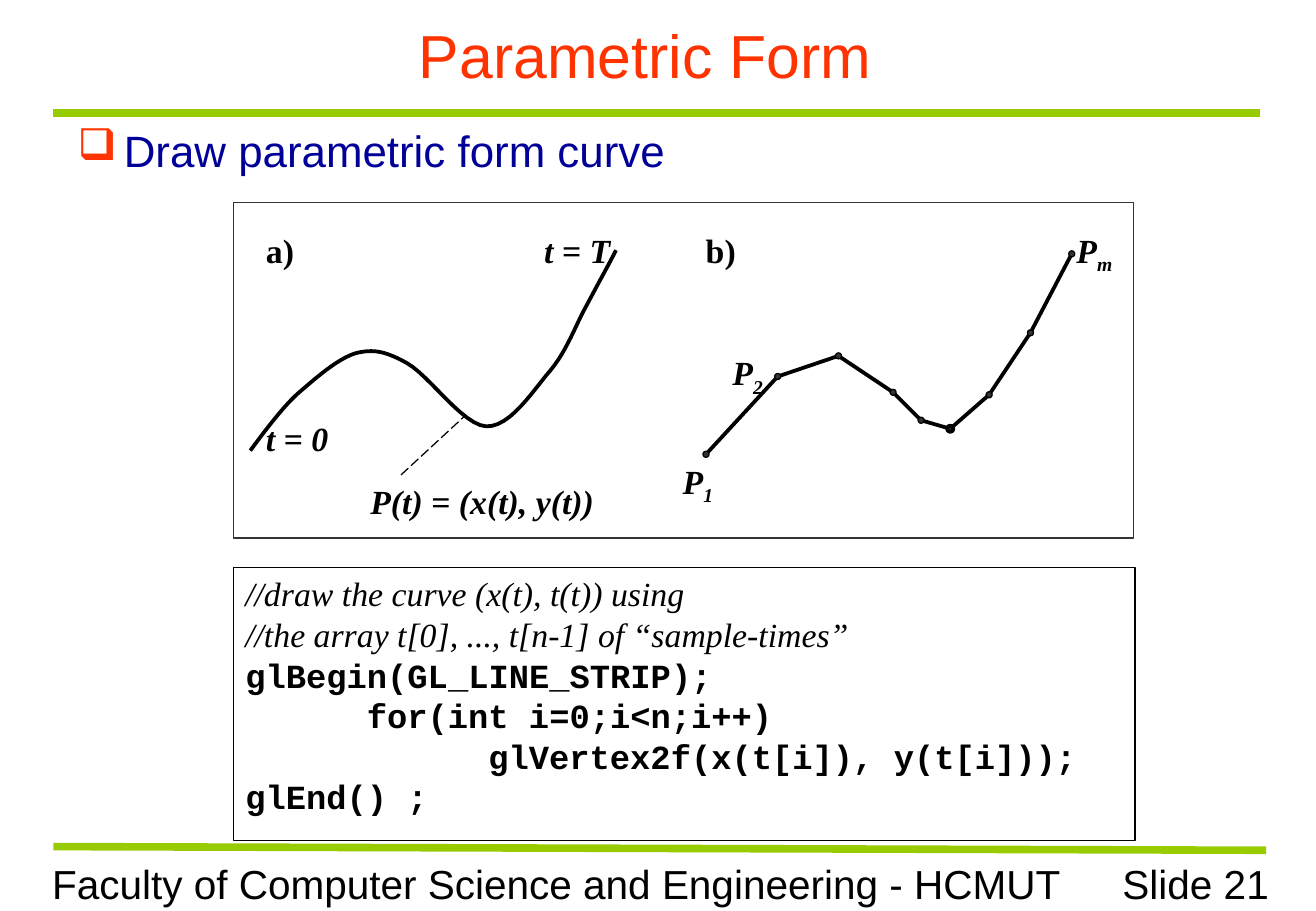
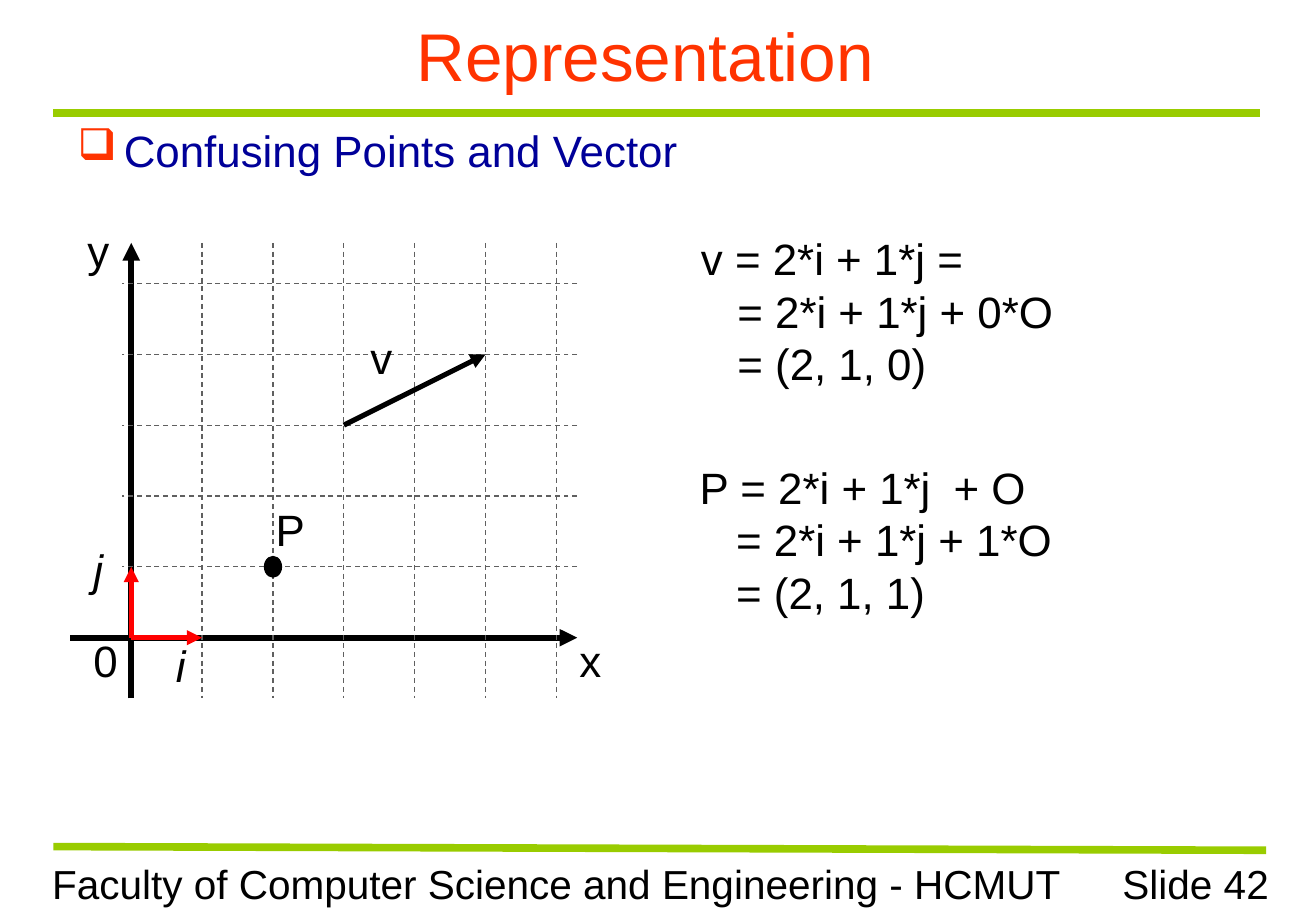
import dataclasses

import lxml.etree
import pptx
import pptx.dml.color
import pptx.enum.dml
import pptx.enum.shapes
import pptx.enum.text
import pptx.oxml.ns
import pptx.util

Inches = pptx.util.Inches
Pt = pptx.util.Pt
qn = pptx.oxml.ns.qn
SHAPE = pptx.enum.shapes.MSO_SHAPE
DASH = pptx.enum.dml.MSO_LINE
ALIGN = pptx.enum.text.PP_ALIGN
ANCHOR = pptx.enum.text.MSO_ANCHOR


@dataclasses.dataclass(frozen=True)
class Style:
    size: float
    color: str = "000000"
    font: str = "Arial"
    bold: bool = False
    italic: bool = False


@dataclasses.dataclass(frozen=True)
class Theme:
    band: str = "99CC00"
    bullet: str = "FF3300"
    ink: str = "000000"
    dot: str = "333333"
    grid: str = "606060"
    unit: str = "FF0000"
    paper: str = "FFFFFF"
    title: Style = Style(36, "FF3300")
    title_large: Style = Style(40, "FF3300")
    topic: Style = Style(26, "000099")
    footer: Style = Style(24)
    math: Style = Style(26)
    math_italic: Style = Style(26, italic=True)
    caption: Style = Style(20, font="Times New Roman", bold=True)
    symbol: Style = Style(20, font="Times New Roman", bold=True, italic=True)
    comment: Style = Style(20, font="Times New Roman", italic=True)
    code: Style = Style(20, font="Courier New", bold=True)


THEME = Theme()


# Drawing helpers
def rgb(value):
    return pptx.dml.color.RGBColor.from_string(value)


def add_span(para, text, style, subscript=False):
    span = para.add_run()
    span.text = text
    font = span.font
    font.name, font.size = style.font, Pt(style.size)
    font.bold, font.italic = style.bold, style.italic
    font.color.rgb = rgb(style.color)
    if subscript:
        font._element.set("baseline", "-25000")


def add_paras(frame, lines, align=ALIGN.LEFT):
    """Fill a text frame; each line is a list of add_span arguments."""
    frame.word_wrap = True
    for index, spans in enumerate(lines):
        para = frame.paragraphs[0] if index == 0 else frame.add_paragraph()
        para.alignment = align
        for span in spans:
            add_span(para, *span)


def add_text(page, box, lines, align=ALIGN.LEFT, anchor=ANCHOR.TOP):
    frame = page.shapes.add_textbox(*map(Inches, box)).text_frame
    frame.vertical_anchor = anchor
    add_paras(frame, lines, align)
    return frame


def set_bullet(para, char, color, indent):
    props = para._p.get_or_add_pPr()
    props.set("marL", str(Inches(indent)))
    props.set("indent", str(Inches(-indent)))
    fill = lxml.etree.SubElement(props, qn("a:buClr"))
    lxml.etree.SubElement(fill, qn("a:srgbClr"), val=color)
    lxml.etree.SubElement(props, qn("a:buChar"), char=char)


def set_tabs(para, *stops):
    tabs = lxml.etree.SubElement(para._p.get_or_add_pPr(), qn("a:tabLst"))
    for stop in stops:
        lxml.etree.SubElement(tabs, qn("a:tab"), pos=str(Inches(stop)), algn="l")


def add_line(page, start, end, color, width, dash=None, arrow=False):
    line = page.shapes.add_connector(
        pptx.enum.shapes.MSO_CONNECTOR.STRAIGHT, *map(Inches, (*start, *end)))
    line.line.color.rgb = rgb(color)
    line.line.width = Pt(width)
    if dash:
        line.line.dash_style = dash
    props = line.element.spPr
    if arrow:
        lxml.etree.SubElement(props.find(qn("a:ln")), qn("a:tailEnd"), type="triangle")
    lxml.etree.SubElement(props, qn("a:effectLst"))


def paint(shape, fill, line, width):
    shape.shadow.inherit = False
    if fill:
        shape.fill.solid()
        shape.fill.fore_color.rgb = rgb(fill)
    else:
        shape.fill.background()
    shape.line.color.rgb = rgb(line)
    shape.line.width = Pt(width)


def add_shape(page, kind, box, fill, line, width=0.75):
    shape = page.shapes.add_shape(kind, *map(Inches, box))
    paint(shape, fill, line, width)
    return shape


def add_dot(page, center, width, height, fill, line_width=0.75):
    x, y = center
    add_shape(page, SHAPE.OVAL, (x - width / 2, y - height / 2, width, height),
              fill, THEME.ink, line_width)


def bezier_points(start, segments, steps=12):
    """Points along a chain of cubic curves."""
    points = [start]
    for b, c, d in segments:
        a = points[-1]
        for step in range(1, steps + 1):
            t = step / steps
            weights = ((1 - t) ** 3, 3 * t * (1 - t) ** 2, 3 * t * t * (1 - t), t ** 3)
            points.append(tuple(
                sum(w * p[axis] for w, p in zip(weights, (a, b, c, d)))
                for axis in (0, 1)))
    return points


# Parts that every slide has
def add_page(deck, title, title_style, topic, number):
    page = deck.slides.add_slide(deck.slide_layouts[6])
    add_text(page, (8.55, 7.02, 1.99, 0.5),
             [[(f"Slide {number}", THEME.footer)]], ALIGN.RIGHT)
    add_line(page, (0.44, 0.93), (10.37, 0.93), THEME.band, 4.5)
    add_line(page, (0.44, 6.97), (10.42, 7), THEME.band, 4.5)
    add_text(page, (0.33, 7.02, 8.52, 0.5),
             [[("Faculty of Computer Science and Engineering - HCMUT", THEME.footer)]])
    add_text(page, (0.33, 0.1, 9.96, 0.7), [[(title, title_style)]],
             ALIGN.CENTER, ANCHOR.MIDDLE)
    heading = add_text(page, (0.54, 0.97, 9.75, 0.53), [[(topic, THEME.topic)]])
    set_bullet(heading.paragraphs[0], "❑", THEME.bullet, 0.38)
    return page


# Smooth curve beside its polyline
def add_curve_figure(page, box):
    left, top = box[:2]

    def at(point):
        return left + point[0], top + point[1]

    add_shape(page, SHAPE.RECTANGLE, box, None, THEME.dot)

    # a) parametric curve
    points = bezier_points((0.14, 2.04), [
        ((0.2, 1.96), (0.38, 1.71), (0.52, 1.58)),
        ((0.67, 1.45), (0.85, 1.29), (1, 1.24)),
        ((1.15, 1.2), (1.25, 1.22), (1.43, 1.32)),
        ((1.61, 1.42), (1.89, 1.83), (2.08, 1.84)),
        ((2.28, 1.85), (2.47, 1.54), (2.61, 1.38)),
        ((2.75, 1.21), (2.82, 1), (2.91, 0.84)),
        ((3, 0.67), (3.1, 0.49), (3.15, 0.39)),
    ])
    outline = [tuple(map(Inches, at(point))) for point in points]
    builder = page.shapes.build_freeform(*outline[0])
    builder.add_line_segments(outline[1:], close=False)
    paint(builder.convert_to_shape(), None, THEME.ink, 2.25)
    add_line(page, at((1.38, 2.24)), at((1.91, 1.75)), THEME.ink, 0.75, DASH.LONG_DASH)

    # b) sampled polyline
    samples = [at(point) for point in (
        (3.89, 2.07), (4.48, 1.43), (4.98, 1.26), (5.43, 1.56), (5.66, 1.79),
        (5.9, 1.86), (6.22, 1.58), (6.56, 1.07), (6.9, 0.42))]
    for start, end in zip(samples, samples[1:]):
        add_line(page, start, end, THEME.ink, 2.25)
    lowest = max(samples[1:], key=lambda sample: sample[1])
    for sample in samples:
        add_dot(page, sample, 0.05, 0.05, THEME.dot, 2.25 if sample == lowest else 0.75)

    # Labels
    for x, y, width, text, subscript, style in (
            (2.46, 0.17, 0.86, "t = T", "", THEME.symbol),
            (0.17, 1.72, 0.86, "t = 0", "", THEME.symbol),
            (1.03, 2.24, 2.07, "P(t) = (x(t), y(t))", "", THEME.symbol),
            (3.6, 2.07, 0.86, "P", "1", THEME.symbol),
            (4.01, 1.18, 0.86, "P", "2", THEME.symbol),
            (6.84, 0.17, 0.58, "P", "m", THEME.symbol),
            (0.17, 0.17, 0.86, "a)", "", THEME.caption),
            (3.79, 0.17, 0.86, "b)", "", THEME.caption)):
        spans = [(text, style)]
        if subscript:
            spans.append((subscript, style, True))
        add_text(page, (*at((x, y)), width, 0.52), [spans])


# Code listing
def add_listing(page, box, comments, code):
    panel = add_shape(page, SHAPE.RECTANGLE, box, THEME.paper, THEME.ink)
    frame = panel.text_frame
    frame.vertical_anchor = ANCHOR.TOP
    add_paras(frame, [[(line, THEME.comment)] for line in comments]
              + [[(line, THEME.code)] for line in code])
    for para in frame.paragraphs:
        set_tabs(para, 1, 2)


# Coordinate grid with a vector and a point
def add_vector_plot(page, box):
    left, top, width, height = box
    right, bottom = left + width, top + height
    unit = 3.5 / 6

    def at(x, y):
        return left + 0.5 + x * unit, bottom - 0.5 - y * unit

    origin_x, origin_y = at(0, 0)

    # Axes and grid
    add_line(page, (left, origin_y), (right, origin_y), THEME.ink, 3.5, arrow=True)
    add_line(page, (origin_x, bottom), (origin_x, top), THEME.ink, 3.5, arrow=True)
    for column in range(1, 7):
        x = at(column, 0)[0]
        add_line(page, (x, top), (x, bottom), THEME.grid, 0.75, DASH.DASH)
    for row in range(1, 6):
        y = at(0, row)[1]
        add_line(page, (right, y), (origin_x - 0.08, y), THEME.grid, 0.75, DASH.DASH)

    # Unit vectors, vector v and point P
    for start, end, color in (((0, 0), (1, 0), THEME.unit),
                              ((0, 0), (0, 1), THEME.unit),
                              ((3, 3), (5, 4), THEME.ink)):
        add_line(page, at(*start), at(*end), color, 3, arrow=True)
    add_dot(page, at(2, 1), 0.14, 0.17, THEME.ink)

    # Labels
    for x, y, label_width, text, style in (
            (4.09, 3.17, 0.38, "x", THEME.math),
            (0.09, 3.17, 0.41, "0", THEME.math),
            (0.04, -0.21, 0.38, "y", THEME.math),
            (2.37, 0.67, 0.38, "v", THEME.math),
            (0.77, 3.21, 0.26, "i", THEME.math_italic),
            (0.09, 2.42, 0.28, "j", THEME.math_italic),
            (1.59, 2.09, 0.45, "P", THEME.math)):
        add_text(page, (left + x, top + y, label_width, 0.54), [[(text, style)]])


# Equation whose later lines are indented
def add_equation(page, box, lines):
    frame = add_text(page, box, [[(line, THEME.math)] for line in lines])
    set_tabs(frame.paragraphs[0], 2.09)
    for para in frame.paragraphs[1:]:
        para._p.get_or_add_pPr().set("marL", str(Inches(0.3)))


def main():
    deck = pptx.Presentation()
    deck.slide_width, deck.slide_height = Inches(10.83), Inches(7.5)

    page = add_page(deck, "Parametric Form", THEME.title, "Draw parametric form curve", 21)
    add_curve_figure(page, (1.92, 1.67, 7.41, 2.76))
    add_listing(page, (1.92, 4.67, 7.42, 2.25),
                ["//draw the curve (x(t), t(t)) using",
                 "//the array t[0], ..., t[n-1] of “sample-times”"],
                ["glBegin(GL_LINE_STRIP);", "\tfor(int i=0;i<n;i++)",
                 "\t\tglVertex2f(x(t[i]), y(t[i]));", "glEnd() ;"])

    page = add_page(deck, "Representation", THEME.title_large,
                    "Confusing Points and Vector", 42)
    add_vector_plot(page, (0.58, 2, 4.17, 3.75))
    add_equation(page, (5.67, 1.86, 3.75, 1.41),
                 ["v = 2*i + 1*j =", "= 2*i + 1*j + 0*O", "= (2, 1, 0)"])
    add_equation(page, (5.66, 3.74, 3.75, 1.41),
                 ["P = 2*i + 1*j\t+ O", "= 2*i + 1*j + 1*O", "= (2, 1, 1)"])

    deck.save("out.pptx")


if __name__ == "__main__":
    main()
